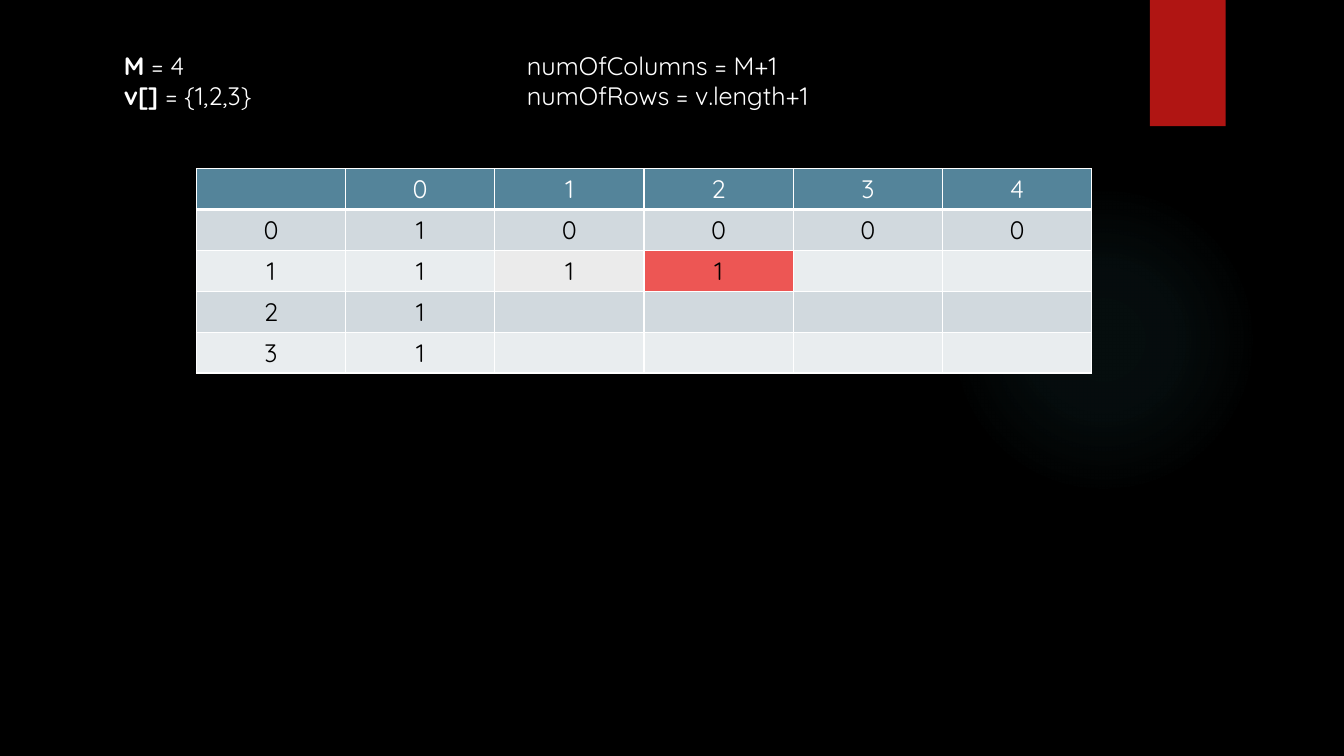
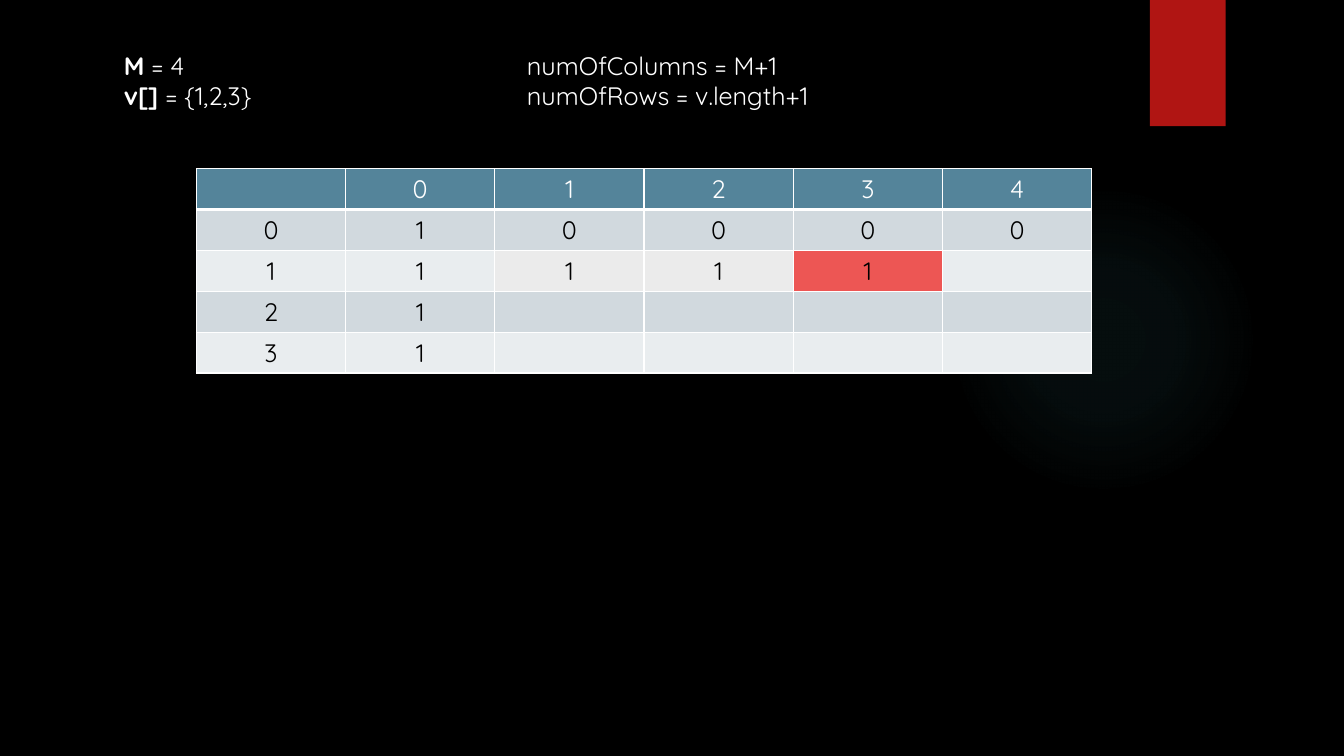
"""Build two steps of a coin-change table being filled in."""
from dataclasses import dataclass

from lxml.etree import SubElement
from pptx import Presentation
from pptx.dml.color import RGBColor
from pptx.enum.shapes import MSO_SHAPE
from pptx.enum.text import PP_ALIGN
from pptx.oxml import parse_xml
from pptx.oxml.ns import nsdecls, qn
from pptx.util import Cm, Pt


@dataclass(frozen=True)
class Theme:
    font: str = "Quicksand"
    size: int = 18
    background: str = "000000"
    light: str = "FFFFFF"
    dark: str = "000000"
    glow: str = "50B9C1"
    ribbon: str = "B01513"
    header: str = "54849A"
    bands: tuple = ("D1D9DE", "E9EDEF")
    done: str = "EBEBEB"
    current: str = "ED5654"
    rule: int = 1
    header_rule: int = 3


THEME = Theme()


def write(paragraph, text, *, color=THEME.light, bold=False, align=PP_ALIGN.LEFT):
    paragraph.alignment = align
    run = paragraph.add_run()
    run.text = text
    run.font.name = THEME.font
    run.font.size = Pt(THEME.size)
    run.font.bold = bold
    run.font.color.rgb = RGBColor.from_string(color)


def paint(cell, color, bottom_rule):
    properties = cell._tc.get_or_add_tcPr()
    for side in ("lnL", "lnR", "lnT", "lnB"):
        width = bottom_rule if side == "lnB" else THEME.rule
        edge = SubElement(properties, qn(f"a:{side}"), w=str(Pt(width)))
        SubElement(SubElement(edge, qn("a:solidFill")), qn("a:srgbClr"), val=THEME.light)
    cell.fill.solid()
    cell.fill.fore_color.rgb = RGBColor.from_string(color)


presentation = Presentation()
presentation.slide_width = Cm(33.87)
presentation.slide_height = Cm(19.05)
master = presentation.slide_master
master.background.fill.solid()
master.background.fill.fore_color.rgb = RGBColor.from_string(THEME.background)

blank_layout = presentation.slide_layouts[6]
steps = [(presentation.slides.add_slide(blank_layout), column) for column in (2, 3)]

first_slide = steps[0][0]
glow = first_slide.shapes.add_shape(MSO_SHAPE.OVAL, Cm(23.9), Cm(4.65), Cm(7.82), Cm(7.82))
ribbon = first_slide.shapes.add_shape(MSO_SHAPE.RECTANGLE, Cm(28.98), Cm(0), Cm(1.91), Cm(3.18))
for decoration in (glow, ribbon):
    decoration.line.fill.background()
    decoration.shadow.inherit = False
    master.shapes.element.append(decoration.element)

glow.fill.background()
glow_properties = glow.element.spPr
stops = "".join(
    f'<a:gs pos="{position * 1000}"><a:srgbClr val="{THEME.glow}">'
    f'<a:alpha val="{alpha * 1000}"/></a:srgbClr></a:gs>'
    for position, alpha in ((0, 7), (36, 6), (69, 0))
)
glow_properties.replace(
    glow_properties.find(qn("a:noFill")),
    parse_xml(
        f'<a:gradFill {nsdecls("a")}><a:gsLst>{stops}</a:gsLst><a:path path="circle">'
        '<a:fillToRect l="50000" t="50000" r="50000" b="50000"/></a:path></a:gradFill>'
    ),
)

ribbon.fill.solid()
ribbon.fill.fore_color.rgb = RGBColor.from_string(THEME.ribbon)
ribbon.element.spPr.find(qn("a:effectLst")).append(
    parse_xml(
        f'<a:outerShdw {nsdecls("a")} blurRad="{Pt(3)}" dist="{Pt(2)}" dir="5400000">'
        f'<a:srgbClr val="{THEME.dark}"><a:alpha val="45000"/></a:srgbClr></a:outerShdw>'
    )
)

GIVENS = (
    ("M", " = 4\tnumOfColumns = M+1"),
    ("v[]", " = {1,2,3}\tnumOfRows = v.length+1"),
)
AMOUNTS = range(5)
COINS = range(4)

for slide, current_amount in steps:
    givens = slide.shapes.add_textbox(Cm(2.87), Cm(1.14), Cm(18.52), Cm(1.8)).text_frame
    givens.word_wrap = True
    for index, (symbol, definition) in enumerate(GIVENS):
        line = givens.add_paragraph() if index else givens.paragraphs[0]
        write(line, symbol, bold=True)
        write(line, definition)
        tab_stops = SubElement(line._p.get_or_add_pPr(), qn("a:tabLst"))
        SubElement(tab_stops, qn("a:tab"), pos=str(Cm(10.16)), algn="l")

    ways = slide.shapes.add_table(
        len(COINS) + 1, len(AMOUNTS) + 1, Cm(4.95), Cm(4.25), Cm(22.56), Cm(5.15)
    ).table
    ways.horz_banding = False

    for column in range(len(AMOUNTS) + 1):
        heading = ways.cell(0, column)
        paint(heading, THEME.header, THEME.header_rule)
        if column:
            write(heading.text_frame.paragraphs[0], str(AMOUNTS[column - 1]), align=PP_ALIGN.CENTER)

    for coin in COINS:
        band = THEME.bands[coin % 2]
        entries = [(str(coin), band)]
        for amount in AMOUNTS:
            reached = coin == 1 and amount <= current_amount
            if amount == 0:
                entries.append(("1", band))
            elif coin == 0:
                entries.append(("0", band))
            elif reached:
                entries.append(("1", THEME.current if amount == current_amount else THEME.done))
            else:
                entries.append(("", band))
        for column, (count, color) in enumerate(entries):
            cell = ways.cell(coin + 1, column)
            paint(cell, color, THEME.rule)
            if count:
                write(cell.text_frame.paragraphs[0], count, color=THEME.dark, align=PP_ALIGN.CENTER)

presentation.save("out.pptx")
